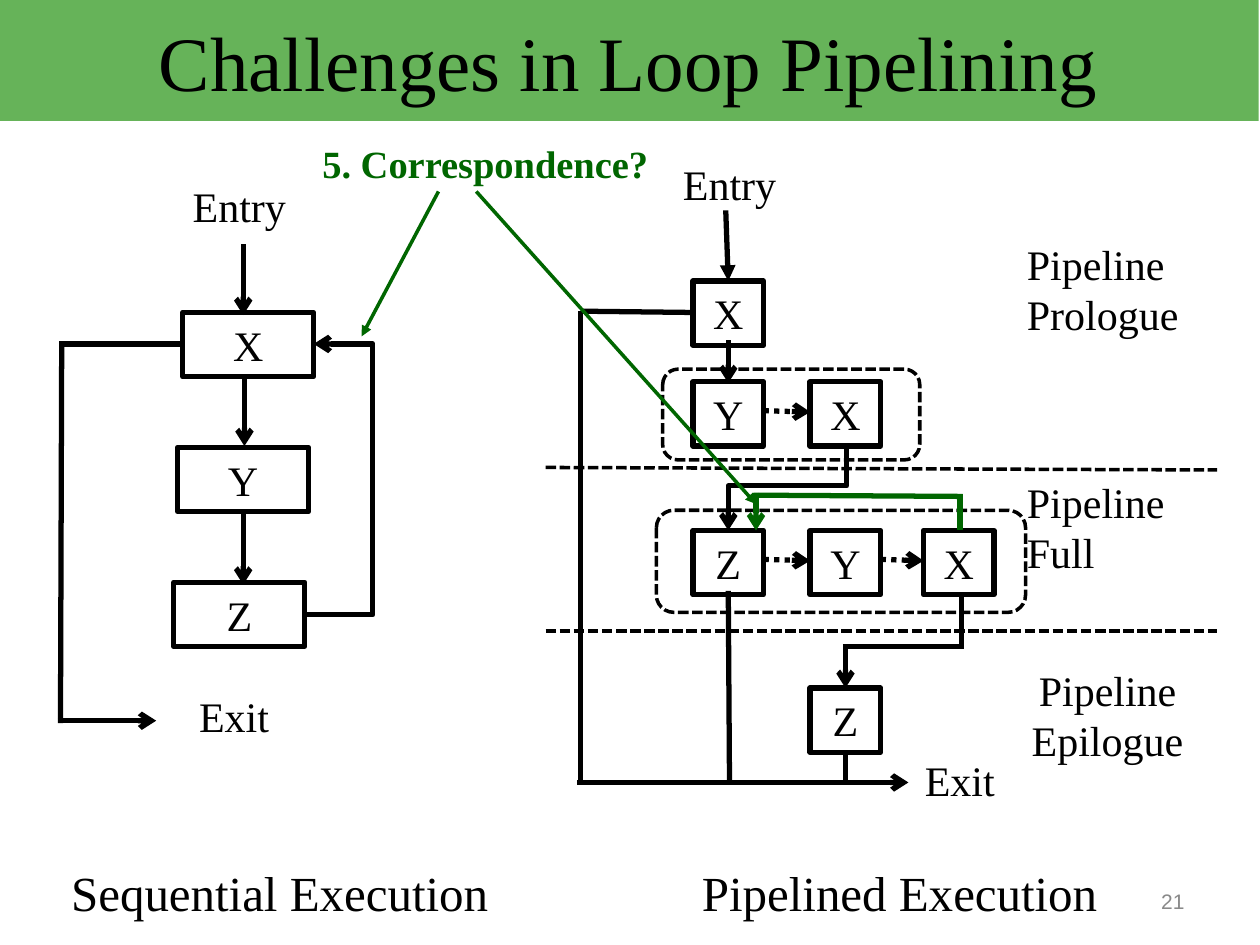
import pptx
import pptx.dml.color
import pptx.enum.dml
import pptx.enum.shapes
import pptx.enum.text
import pptx.oxml
import pptx.oxml.ns
import pptx.util

PX = 9144  # EMU per px, 100 px to the inch
BLACK, GREEN, BAND, GREY = "000000", "006600", "66B359", "898989"
SHAPE = pptx.enum.shapes.MSO_SHAPE
LINK = pptx.enum.shapes.MSO_CONNECTOR
DASH = pptx.enum.dml.MSO_LINE.SQUARE_DOT
DOT = pptx.enum.dml.MSO_LINE.ROUND_DOT
ALIGN = pptx.enum.text.PP_ALIGN
ANCHOR = pptx.enum.text.MSO_ANCHOR


def emu(*vals):
    return [pptx.util.Emu(val * PX) for val in vals]


def rgb(code):
    return pptx.dml.color.RGBColor.from_string(code)


def node(tag, **attrs):
    item = pptx.oxml.parse_xml(f"<a:{tag} {pptx.oxml.ns.nsdecls('a')}/>")
    for key, val in attrs.items():
        item.set(key, val)
    return item


class Board:
    """Holds the style and the current slide."""

    font = "Times New Roman"
    size = 24
    pad = (5, 2)

    def __init__(self, deck):
        self.slide = deck.slides.add_slide(deck.slide_layouts[6])

    def text(self, shape, words, size=None, color=BLACK, align=ALIGN.LEFT,
             anchor=ANCHOR.TOP, pad=None, bold=False, font=None):
        frame = shape.text_frame
        frame.word_wrap = True
        frame.vertical_anchor = anchor
        side, top = emu(*(pad or self.pad))
        frame.margin_left = frame.margin_right = side
        frame.margin_top = frame.margin_bottom = top
        para = frame.paragraphs[0]
        para.alignment = align
        run = para.add_run()
        run.text = words
        run.font.name = font or self.font
        run.font.size = pptx.util.Pt(size or self.size)
        run.font.bold = bold
        run.font.color.rgb = rgb(color)

    def label(self, x, y, w, h, words, **style):
        self.text(self.slide.shapes.add_textbox(*emu(x, y, w, h)), words, **style)

    def stroke(self, line, width, color=BLACK, dash=None):
        line.color.rgb = rgb(color)
        line.width = pptx.util.Pt(width)
        if dash:
            line.dash_style = dash

    def shape(self, kind, x, y, w, h):
        item = self.slide.shapes.add_shape(kind, *emu(x, y, w, h))
        item.shadow.inherit = False
        item.fill.background()
        return item

    def title(self, x, y, w, h, words):
        band = self.shape(SHAPE.RECTANGLE, x, y, w, h)
        band.fill.solid()
        band.fill.fore_color.rgb = rgb(BAND)
        band.line.fill.background()
        self.text(band, words, 44, align=ALIGN.CENTER, anchor=ANCHOR.MIDDLE)

    def box(self, x, y, name, w=56, h=51):
        item = self.shape(SHAPE.RECTANGLE, x, y, w, h)
        self.stroke(item.line, 3)
        self.text(item, name, align=ALIGN.CENTER, anchor=ANCHOR.MIDDLE)

    def group(self, x, y, w, h):
        """Dashed outline round the stages that run together."""
        item = self.shape(SHAPE.ROUNDED_RECTANGLE, x, y, w, h)
        item.adjustments[0] = 0.17
        self.stroke(item.line, 2, dash=DASH)

    def line(self, x1, y1, x2, y2, head=None, width=3, color=BLACK,
             dash=None, kind=LINK.STRAIGHT):
        item = self.slide.shapes.add_connector(kind, *emu(x1, y1, x2, y2))
        self.stroke(item.line, width, color, dash)
        props = item._element.spPr
        if head:
            props.ln.append(node("tailEnd", type=head))
        props.append(node("effectLst"))
        return item

    def elbow(self, x1, y1, x2, y2, bend, turn=0):
        """Bent arrow: bend is a share of its width, turn is in degrees."""
        item = self.line(x1, y1, x2, y2, "arrow", kind=LINK.ELBOW)
        props = item._element.spPr
        guides = props.prstGeom.get_or_add_avLst()
        guides.append(node("gd", name="adj1", fmla=f"val {round(bend * 100000)}"))
        if turn:
            props.xfrm.set("rot", str(turn * 60000))


def sequential(board):
    board.label(148, 141, 96, 45, "Entry")
    for x, y, name in ((145, 248, "X"), (141, 355, "Y"), (138, 462, "Z")):
        board.box(x, y, name, w=104)
    for x, y in ((193, 194), (194, 298), (193, 408)):
        board.line(x, y, x, y + 56, "arrow")
    board.line(47, 273, 145, 273)
    board.line(49, 271, 48, 574)
    board.line(46, 572, 124, 572, "arrow")
    board.elbow(241, 488, 249, 273, (296 - 241) / 8)
    board.label(153, 546, 162, 45, "Exit")


def pipelined(board):
    cols = (550, 643, 733)
    for y, names in ((223, "X"), (303, "YX"), (421, "ZYX")):
        for x, name in zip(cols, names):
            board.box(x, y, name)
    board.box(cols[1], 546, "Z")
    board.group(526, 293, 204, 72)
    board.group(521, 405, 293, 81)

    board.label(537, 124, 125, 45, "Entry")
    board.label(729, 597, 88, 45, "Exit")
    board.label(810, 187, 155, 85, "Pipeline Prologue")
    board.label(810, 376, 132, 85, "Pipeline Full")
    board.label(810, 525, 138, 85, "Pipeline Epilogue", align=ALIGN.CENTER)
    board.line(433, 371, 966, 373, width=2, dash=DASH)
    board.line(433, 501, 966, 501, width=2, dash=DASH)

    # Flow from stage to stage
    board.line(576, 167, 578, 223, "triangle")
    board.line(578, 270, 578, 304, "arrow")
    for x1, x2, y in ((606, 643, 326), (606, 643, 444), (699, 733, 444)):
        board.line(x1, y, x2, y + 1, "arrow", dash=DOT)
    board.elbow(591, 340, 659, 434, 0.48, turn=90)

    # Loop back edge of the full pipeline
    board.line(600, 391, 600, 421, "arrow", color=GREEN)
    board.line(598, 393, 764, 394, color=GREEN)
    board.line(762, 392, 762, 421, color=GREEN)

    # Ways out
    for ends in ((461, 247, 550, 248), (461, 247, 461, 620),
                 (458, 621, 697, 621), (578, 469, 579, 622),
                 (671, 597, 671, 621), (669, 513, 765, 513),
                 (763, 470, 763, 514)):
        board.line(*ends)
    board.line(694, 621, 721, 621, "arrow")
    board.line(671, 513, 671, 546, "arrow")


def main():
    deck = pptx.Presentation()
    deck.slide_width, deck.slide_height = emu(1000, 750)
    board = Board(deck)
    board.title(-1, 0, 1000, 96, "Challenges in Loop Pipelining")
    pipelined(board)
    sequential(board)
    for x, w, words in ((7, 430, "Sequential Execution"),
                        (517, 394, "Pipelined Execution")):
        board.label(x, 679, w, 57, words, size=28, align=ALIGN.CENTER,
                    anchor=ANCHOR.BOTTOM, pad=(10, 5))
    board.label(246, 106, 290, 47, "5. Correspondence?", size=22, color=GREEN,
                bold=True, pad=(10, 5))
    board.line(348, 152, 287, 267, "triangle", 2, GREEN)
    board.line(378, 152, 600, 400, "triangle", 2, GREEN)
    board.label(717, 695, 233, 40, "21", size=12, color=GREY, font="Arial",
                align=ALIGN.RIGHT, anchor=ANCHOR.MIDDLE, pad=(10, 5))
    deck.save("out.pptx")


if __name__ == "__main__":
    main()
